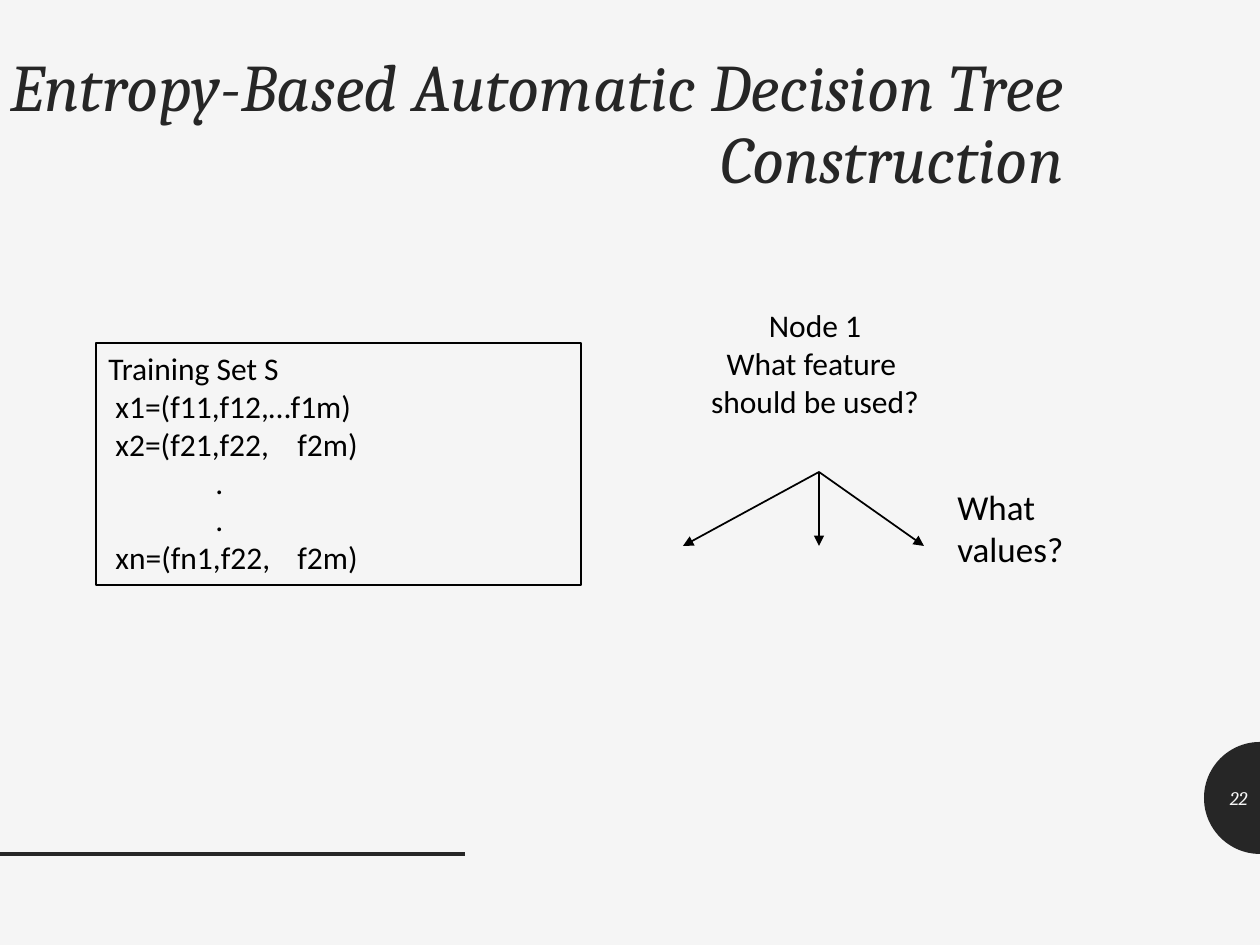
import math

import pptx
import pptx.dml.color
import pptx.enum.shapes
import pptx.enum.text
import pptx.oxml
import pptx.oxml.ns
import pptx.util

RGB = pptx.dml.color.RGBColor
ALIGN = pptx.enum.text.PP_ALIGN
ANCHOR = pptx.enum.text.MSO_ANCHOR
SHAPES = pptx.enum.shapes.MSO_SHAPE
STRAIGHT = pptx.enum.shapes.MSO_CONNECTOR.STRAIGHT

PAPER = RGB(0xF5, 0xF5, 0xF5)
DARK = RGB(0x26, 0x26, 0x26)
BLACK = RGB(0, 0, 0)

EMU_PER_PX = 914400 / 126
WIDTH, HEIGHT = 1260, 945

TITLE = "Entropy-Based Automatic Decision Tree Construction"
NODE = ["Node 1", "What feature ", "should be used?"]
BRANCH_LABEL = "What values?"
TRAINING_SET = [
    "Training Set S",
    " x1=(f11,f12,…f1m)",
    " x2=(f21,f22,\tf2m)",
    ".",
    ".",
    " xn=(fn1,f22,\tf2m)",
]
PAGE_NUMBER = "22"

BRANCH_START = (819, 472)
BRANCH_ENDS = [(683, 546), (819, 546), (924, 546)]
BADGE_RADIUS, BADGE_Y = 56, 798
DOT_INDENT, LAST_FEATURE_TAB = 107, 189


def px(n):
    return pptx.util.Emu(round(n * EMU_PER_PX))


def add_xml(parent, xml):
    ns = pptx.oxml.ns.nsdecls("a")
    tag, rest = xml.split(" ", 1)
    parent.append(pptx.oxml.parse_xml(f"{tag} {ns} {rest}"))


def write(sp, lines, size, font="Calibri", color=BLACK, italic=False,
          align=ALIGN.LEFT, anchor=ANCHOR.TOP, spacing=None):
    tf = sp.text_frame
    tf.word_wrap = True
    tf.vertical_anchor = anchor
    tf.text = "\n".join(lines)
    for p in tf.paragraphs:
        p.alignment = align
        p.line_spacing = spacing
        for r in p.runs:
            r.font.name = font
            r.font.size = pptx.util.Pt(size)
            r.font.italic = italic
            r.font.color.rgb = color
    return tf


def add_text(slide, box, lines, size, **style):
    sp = slide.shapes.add_textbox(*map(px, box))
    return write(sp, lines, size, **style)


def add_line(slide, start, end, color, weight, arrow=False):
    line = slide.shapes.add_connector(STRAIGHT, *map(px, start + end))
    line.line.color.rgb = color
    line.line.width = pptx.util.Pt(weight)
    if arrow:
        add_xml(line.line._get_or_add_ln(), '<a:tailEnd type="triangle"/>')
    add_xml(line._element.spPr, "<a:effectLst />")


def add_badge(slide):
    """Half disc that bulges in from the right edge of the slide."""
    steps = 48
    points = [
        (WIDTH - BADGE_RADIUS * math.sin(math.pi * i / steps),
         BADGE_Y - BADGE_RADIUS * math.cos(math.pi * i / steps))
        for i in range(steps + 1)
    ]
    emu = [(px(x), px(y)) for x, y in points]
    builder = slide.shapes.build_freeform(*emu[0], scale=1.0)
    builder.add_line_segments(emu[1:], close=True)
    sp = builder.convert_to_shape()
    sp.shadow.inherit = False
    sp.fill.solid()
    sp.fill.fore_color.rgb = DARK
    sp.line.fill.background()


def add_training_set(slide, box):
    sp = slide.shapes.add_shape(SHAPES.RECTANGLE, *map(px, box))
    sp.shadow.inherit = False
    sp.fill.background()
    sp.line.color.rgb = BLACK
    sp.line.width = pptx.util.Pt(1)
    for p in write(sp, TRAINING_SET, 18).paragraphs:
        pPr = p._p.get_or_add_pPr()
        if p.text == ".":
            pPr.set("marL", str(px(DOT_INDENT)))
        elif "\t" in p.text:
            add_xml(pPr, f'<a:tabLst ><a:tab pos="{px(LAST_FEATURE_TAB)}" '
                         'algn="l"/></a:tabLst>')


def main():
    prs = pptx.Presentation()
    prs.slide_width, prs.slide_height = px(WIDTH), px(HEIGHT)
    slide = prs.slides.add_slide(prs.slide_layouts[6])
    slide.background.fill.solid()
    slide.background.fill.fore_color.rgb = PAPER

    add_badge(slide)
    add_line(slide, (0, 854), (465, 854), DARK, 2)
    add_text(slide, (-11, 48, 1087, 683), [TITLE], 38, font="Cambria",
             color=DARK, italic=True, align=ALIGN.RIGHT, spacing=0.9)
    add_text(slide, (1203, 773, 57, 50), [PAGE_NUMBER], 11, font="Cambria",
             color=PAPER, italic=True, align=ALIGN.RIGHT,
             anchor=ANCHOR.MIDDLE)
    add_text(slide, (668, 300, 294, 164), NODE, 18, align=ALIGN.CENTER)
    for end in BRANCH_ENDS:
        add_line(slide, BRANCH_START, end, BLACK, 1, arrow=True)
    add_text(slide, (945, 479, 200, 54), [BRANCH_LABEL], 20)
    add_training_set(slide, (96, 343, 485, 242))

    prs.save("out.pptx")


if __name__ == "__main__":
    main()
